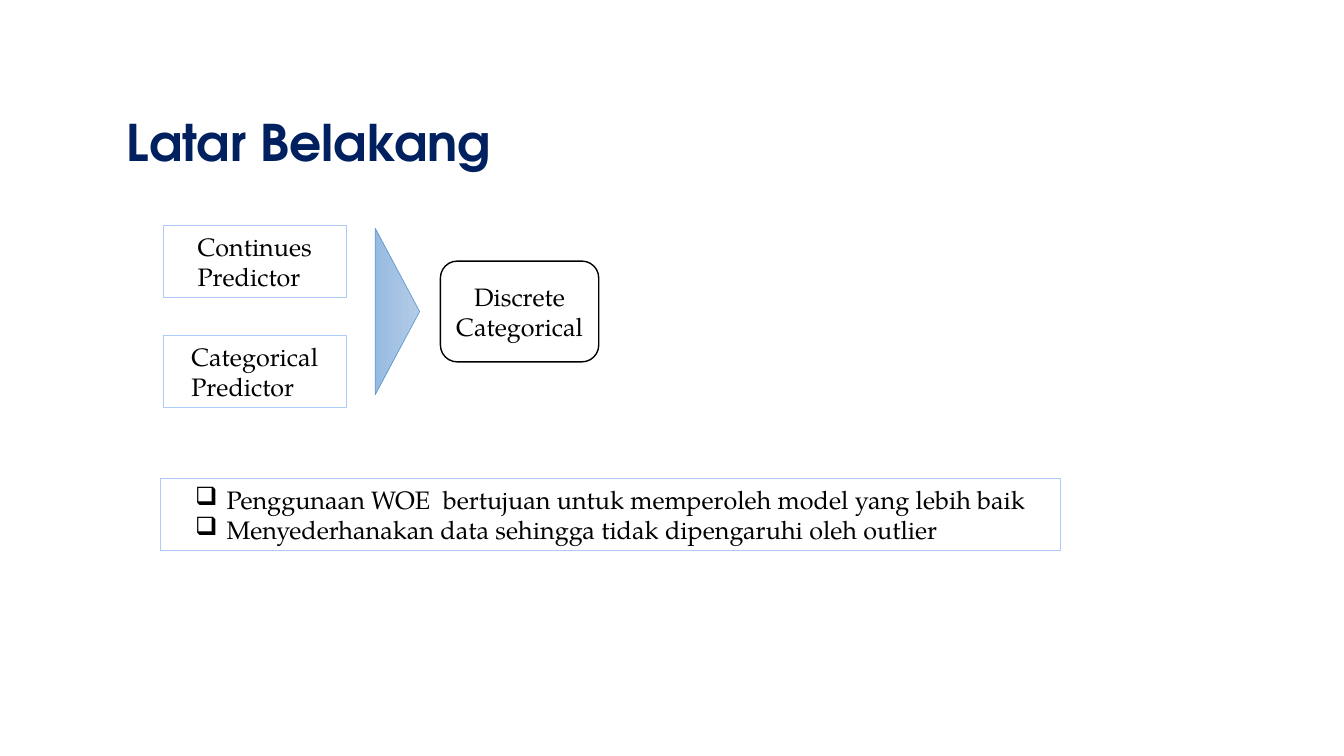
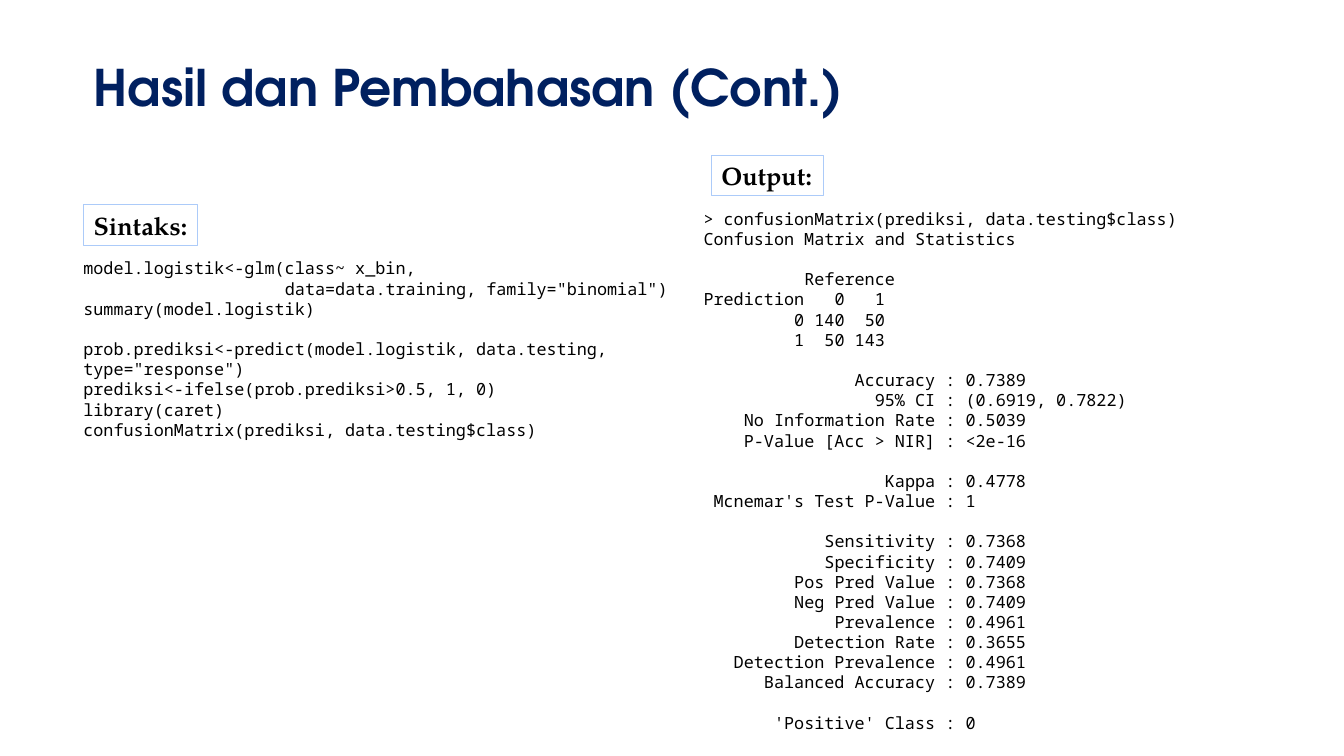
"""Build two slides on logistic regression with binned predictors."""
from collections import namedtuple

from lxml import etree
from pptx import Presentation
from pptx import util as u
from pptx.dml.color import RGBColor
from pptx.enum import shapes, text
from pptx.oxml import ns

NAVY = RGBColor(0x00, 0x20, 0x60)
BLACK = RGBColor(0x00, 0x00, 0x00)
WHITE = RGBColor(0xFF, 0xFF, 0xFF)
PALE_BLUE = RGBColor(0xAC, 0xCB, 0xF9)
MID_BLUE = RGBColor(0x62, 0x9D, 0xD1)
ARROW_TIP = RGBColor(0xB4, 0xCC, 0xE7)
ARROW_BASE = RGBColor(0x96, 0xBA, 0xE1)

TITLE_FONT = "TeX Gyre Adventor"
BODY_FONT = "TeX Gyre Pagella"
CODE_FONT = "Noto Sans Mono"
CODE_COLUMN = u.Pt(7.2)
CODE_ROW = u.Pt(14.4)
BULLET_INDENT = u.Cm(0.79)

Box = namedtuple("Box", "left top width height")
Line = namedtuple("Line", "text stops gap", defaults=((), False))


def lengths(box):
    """Convert a box in centimetres to slide lengths."""
    return [u.Cm(value) for value in box]


def add_tab_stops(paragraph, stops):
    """Set tab stops given as (character column, alignment)."""
    tab_list = etree.SubElement(paragraph._p.get_or_add_pPr(), ns.qn("a:tabLst"))
    for column, alignment in stops:
        etree.SubElement(tab_list, ns.qn("a:tab"),
                         pos=str(int(column * CODE_COLUMN)), algn=alignment)


def add_bullet(paragraph):
    """Give a paragraph a hanging box bullet."""
    properties = paragraph._p.get_or_add_pPr()
    properties.set("marL", str(int(BULLET_INDENT)))
    properties.set("indent", str(-int(BULLET_INDENT)))
    etree.SubElement(properties, ns.qn("a:buChar"), char="❑")


def write_text(shape, lines, *, font=BODY_FONT, size=18, color=BLACK, bold=False,
               align=text.PP_ALIGN.LEFT, anchor=text.MSO_ANCHOR.MIDDLE,
               wrap=True, spacing=None, bullets=False, centre_block=False):
    """Write lines into a shape with the given format."""
    frame = shape.text_frame
    frame.word_wrap = wrap
    frame.vertical_anchor = anchor
    if centre_block:
        frame._txBody.bodyPr.set("anchorCtr", "1")
    for index, line in enumerate(lines):
        paragraph = frame.paragraphs[0] if index == 0 else frame.add_paragraph()
        paragraph.alignment = align
        if spacing:
            paragraph.line_spacing = spacing
        if line.gap:
            paragraph.space_before = CODE_ROW
        if line.stops:
            add_tab_stops(paragraph, line.stops)
        if bullets:
            add_bullet(paragraph)
        run = paragraph.add_run()
        run.text = line.text
        run.font.name = font
        run.font.size = u.Pt(size)
        run.font.bold = bold
        run.font.color.rgb = color


def add_outlined(slide, kind, box, line=PALE_BLUE, weight=0.75, fill=None):
    """Add a preset shape with an outline and an optional fill."""
    shape = slide.shapes.add_shape(kind, *lengths(box))
    shape.shadow.inherit = False
    shape.line.color.rgb = line
    shape.line.width = u.Pt(weight)
    if fill is None:
        shape.fill.background()
    else:
        shape.fill.solid()
        shape.fill.fore_color.rgb = fill
    return shape


def add_title(slide, box, title):
    """Add the slide title, resting on the bottom of its box."""
    write_text(slide.shapes.add_textbox(*lengths(box)), [Line(title)],
               font=TITLE_FONT, size=36, color=NAVY, bold=True,
               anchor=text.MSO_ANCHOR.BOTTOM, spacing=0.8)


def add_predictor_flow(slide, box):
    """Draw two predictors flowing into one discrete category."""
    arrow_length, arrow_span = 1.12, 4.19
    arrow = add_outlined(slide, shapes.MSO_SHAPE.ISOSCELES_TRIANGLE,
                         Box(box.left + 3.81, box.top + 1.6, arrow_span, arrow_length),
                         line=MID_BLUE, weight=0.5)
    arrow.rotation = 90
    arrow.fill.gradient()
    arrow.fill.gradient_angle = 270
    for stop, color in zip(arrow.fill.gradient_stops, (ARROW_TIP, ARROW_BASE)):
        stop.color.rgb = color

    result = add_outlined(slide, shapes.MSO_SHAPE.ROUNDED_RECTANGLE,
                          Box(box.left + box.width - 3.99, box.top + 0.89, 3.99, 2.54),
                          line=BLACK, weight=1, fill=WHITE)
    write_text(result, [Line("Discrete Categorical")], align=text.PP_ALIGN.CENTER)

    height = 1.8
    for row, name in enumerate(("Continues Predictor", "Categorical Predictor")):
        top = box.top + row * (box.height - height)
        predictor = add_outlined(slide, shapes.MSO_SHAPE.RECTANGLE,
                                 Box(box.left, top, 4.62, height))
        write_text(predictor, [Line(name)], centre_block=True)


def add_reasons(slide, box, reasons):
    """Add an outlined box of bulleted reasons."""
    panel = add_outlined(slide, shapes.MSO_SHAPE.RECTANGLE, box)
    write_text(panel, [Line(reason) for reason in reasons],
               bullets=True, centre_block=True)


def add_code_panel(slide, box, heading, heading_indent, heading_width, lines):
    """Add monospaced lines in a box with an outlined heading above it."""
    write_text(slide.shapes.add_textbox(*lengths(box)), lines,
               font=CODE_FONT, size=12, anchor=text.MSO_ANCHOR.TOP)
    height, gap = 1.02, 0.2
    label = add_outlined(slide, shapes.MSO_SHAPE.RECTANGLE,
                         Box(box.left + heading_indent, box.top - gap - height,
                             heading_width, height))
    write_text(label, [Line(heading)], bold=True, wrap=False)


def statistics_lines(groups):
    """Align groups of names and values on one colon, with a gap before each group."""
    stops = ((23, "r"), (24, "l"))
    return [Line(f"\t{name}\t: {value}", stops, index == 0)
            for group in groups for index, (name, value) in enumerate(group)]


def build_background(slide):
    """Build the slide on why predictors are binned."""
    add_title(slide, Box(2.95, 1.47, 24.13, 2.97), "Latar Belakang")
    add_predictor_flow(slide, Box(4.11, 5.69, 10.98, 4.57))
    add_reasons(slide, Box(4.04, 12.07, 22.68, 1.8), (
        "Penggunaan WOE  bertujuan untuk memperoleh model yang lebih baik",
        "Menyederhanakan data sehingga tidak dipengaruhi oleh outlier",
    ))


def build_results(slide):
    """Build the slide with the model syntax and its output."""
    add_title(slide, Box(2.11, 1.32, 24.13, 1.73), "Hasil dan Pembahasan (Cont.)")
    syntax = [
        Line("model.logistik<-glm(class~ x_bin,"),
        Line('\tdata=data.training, family="binomial")', ((20, "l"),)),
        Line("summary(model.logistik)"),
        Line('prob.prediksi<-predict(model.logistik, data.testing, type="response")',
             gap=True),
        Line("prediksi<-ifelse(prob.prediksi>0.5, 1, 0)"),
        Line("library(caret)"),
        Line("confusionMatrix(prediksi, data.testing$class)"),
    ]
    count_stops = ((14, "r"), (18, "r"))
    row_stops = ((10, "r"), *count_stops)
    output = [
        Line("> confusionMatrix(prediksi, data.testing$class)"),
        Line("Confusion Matrix and Statistics"),
        Line("\tReference", ((10, "l"),), True),
        Line("Prediction\t0\t1", count_stops),
        Line("\t0\t140\t50", row_stops),
        Line("\t1\t50\t143", row_stops),
        *statistics_lines((
            (("Accuracy", "0.7389"), ("95% CI", "(0.6919, 0.7822)"),
             ("No Information Rate", "0.5039"), ("P-Value [Acc > NIR]", "<2e-16")),
            (("Kappa", "0.4778"), ("Mcnemar's Test P-Value", "1")),
            (("Sensitivity", "0.7368"), ("Specificity", "0.7409"),
             ("Pos Pred Value", "0.7368"), ("Neg Pred Value", "0.7409"),
             ("Prevalence", "0.4961"), ("Detection Rate", "0.3655"),
             ("Detection Prevalence", "0.4961"), ("Balanced Accuracy", "0.7389")),
            (("'Positive' Class", "0"),),
        )),
    ]
    add_code_panel(slide, Box(1.85, 6.38, 15.47, 4.37), "Sintaks:", 0.26, 2.87, syntax)
    add_code_panel(slide, Box(17.48, 5.13, 17.5, 14.1), "Output:", 0.45, 2.82, output)


def main():
    """Create and save the presentation."""
    presentation = Presentation()
    presentation.slide_width = u.Cm(33.87)
    presentation.slide_height = u.Cm(19.05)
    blank = presentation.slide_layouts[6]
    for build in (build_background, build_results):
        build(presentation.slides.add_slide(blank))
    presentation.save("out.pptx")


main()
